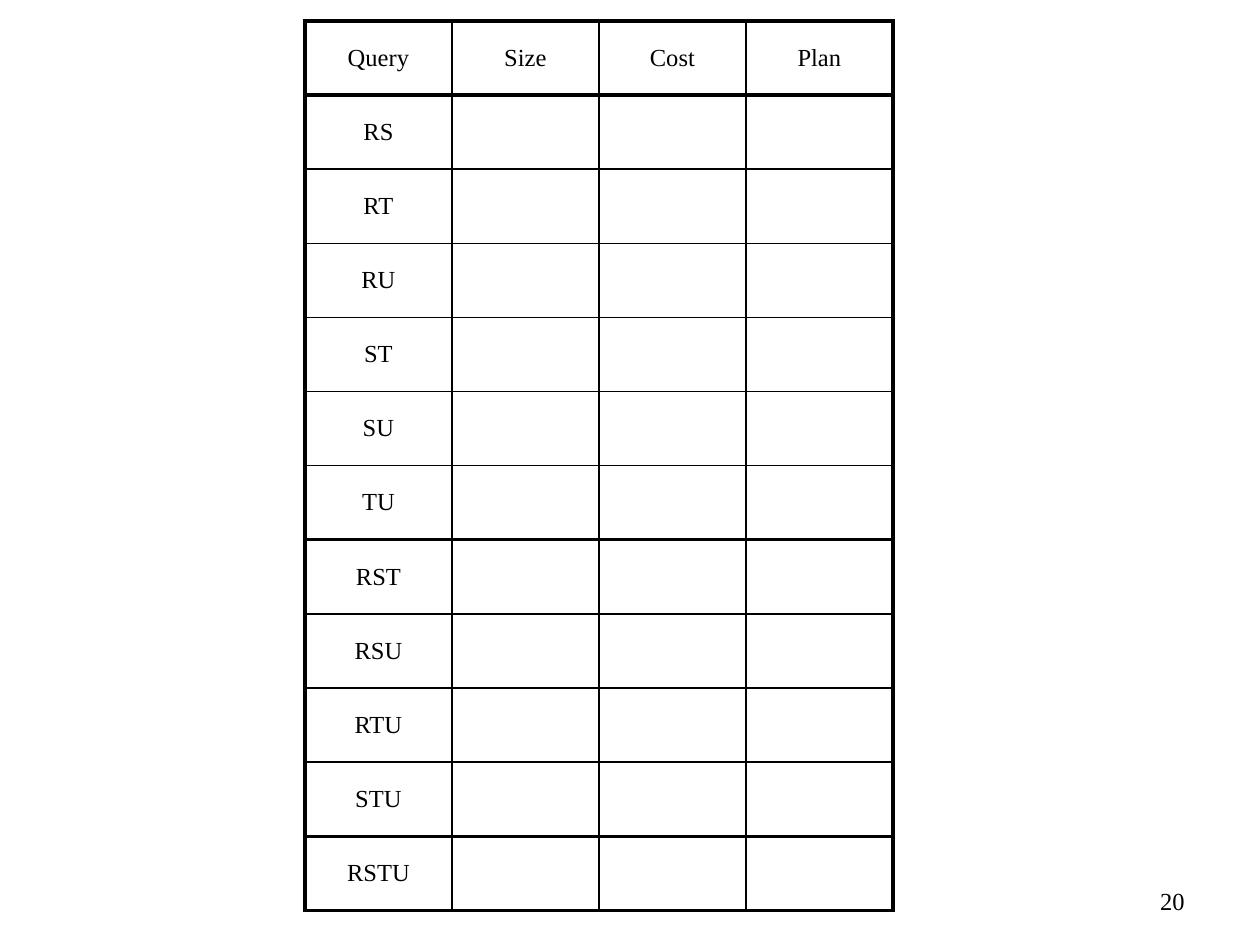
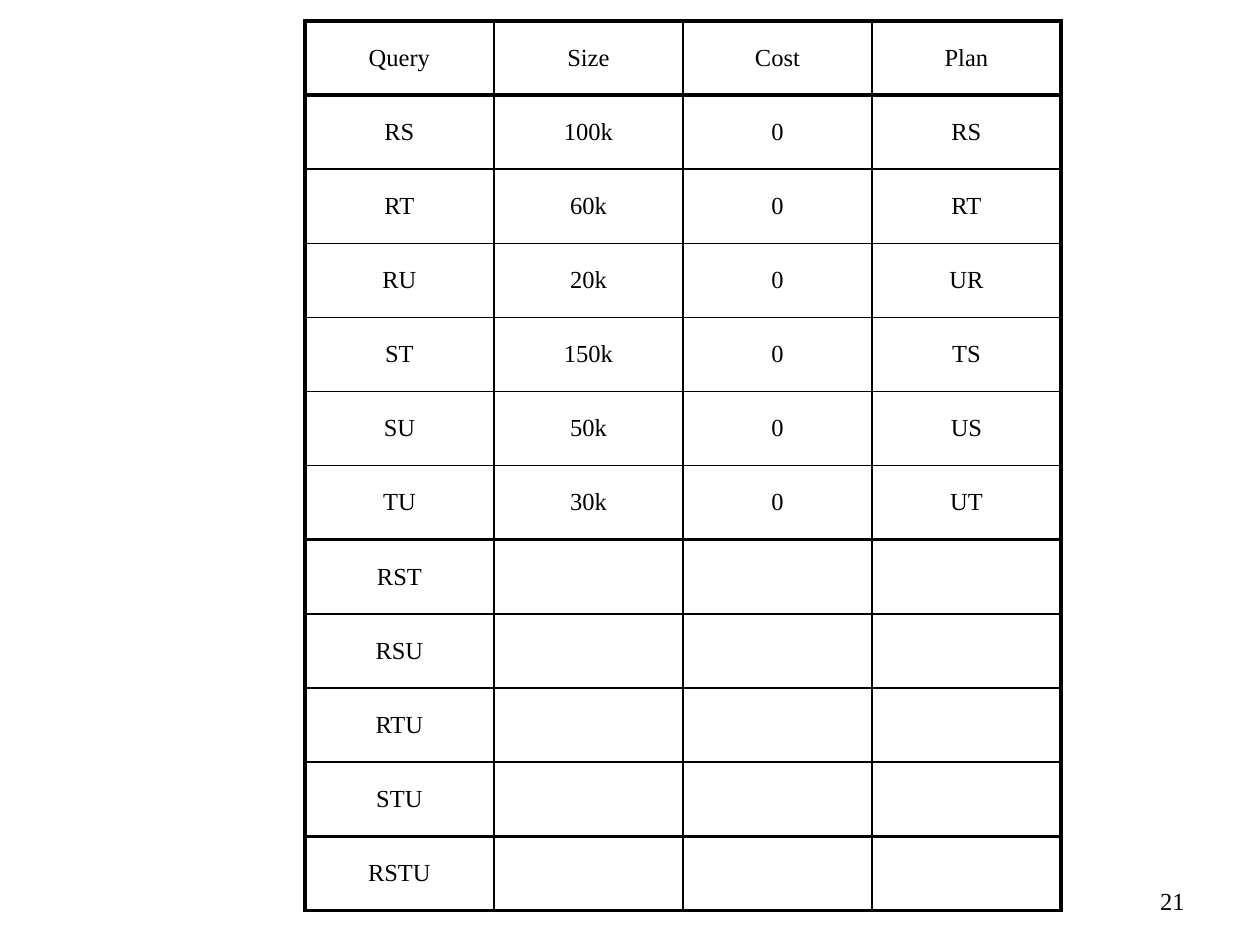
import pptx
import pptx.util
import pptx.dml.color
import pptx.enum.text
import pptx.oxml.ns
import lxml.etree

Pt = pptx.util.Pt
PP_ALIGN = pptx.enum.text.PP_ALIGN
MIDDLE = pptx.enum.text.MSO_ANCHOR.MIDDLE

BLACK = pptx.dml.color.RGBColor(0, 0, 0)
WHITE = pptx.dml.color.RGBColor(255, 255, 255)
FONT = "Times New Roman"
TEXT_SIZE = 14
THIN, THICK = 1, 2.25

TABLE_LEFT, TABLE_TOP = 174.25, 12
ROW_HEIGHT = 42.35
HEADERS = ["Query", "Size", "Cost", "Plan"]
QUERIES = ["RS", "RT", "RU", "ST", "SU", "TU", "RST", "RSU", "RTU", "STU", "RSTU"]
PAIR_RESULTS = {
    "RS": ["100k", "0", "RS"],
    "RT": ["60k", "0", "RT"],
    "RU": ["20k", "0", "UR"],
    "ST": ["150k", "0", "TS"],
    "SU": ["50k", "0", "US"],
    "TU": ["30k", "0", "UT"],
}
PAGES = [("20", 84, {}), ("21", 108, PAIR_RESULTS)]


def write_text(text_frame, text, size=TEXT_SIZE, color=BLACK, align=PP_ALIGN.CENTER, space_before=0):
    paragraph = text_frame.paragraphs[0]
    paragraph.alignment = align
    paragraph.space_before = Pt(space_before)
    paragraph.font.size = Pt(size)
    if text:
        run = paragraph.add_run()
        run.text = text
        run.font.name = FONT
        run.font.size = Pt(size)
        run.font.color.rgb = color


def add_border(cell, side, width):
    qn = pptx.oxml.ns.qn
    properties = cell._tc.get_or_add_tcPr()
    line = lxml.etree.SubElement(properties, qn(f"a:ln{side}"), w=str(Pt(width)))
    fill = lxml.etree.SubElement(line, qn("a:solidFill"))
    lxml.etree.SubElement(fill, qn("a:srgbClr"), val=str(BLACK))


presentation = pptx.Presentation()
presentation.slide_width = Pt(720)
presentation.slide_height = Pt(540)

for page_number, column_width, results in PAGES:
    slide = presentation.slides.add_slide(presentation.slide_layouts[6])
    slide.background.fill.solid()
    slide.background.fill.fore_color.rgb = WHITE

    number_box = slide.shapes.add_textbox(Pt(516), Pt(500.4), Pt(168), Pt(28.8))
    number_box.text_frame.word_wrap = True
    number_box.text_frame.vertical_anchor = MIDDLE
    write_text(number_box.text_frame, page_number, align=PP_ALIGN.RIGHT)

    rows = [HEADERS] + [[query] + results.get(query, [""] * 3) for query in QUERIES]
    last_row, last_column = len(rows) - 1, len(HEADERS) - 1
    group_ends = {
        index for index in range(last_row)
        if index == 0 or len(rows[index][0]) != len(rows[index + 1][0])
    } | {last_row}

    table = slide.shapes.add_table(
        len(rows), len(HEADERS), Pt(TABLE_LEFT), Pt(TABLE_TOP),
        Pt(column_width * len(HEADERS)), Pt(ROW_HEIGHT * len(rows)),
    ).table
    table.first_row = False
    table.horz_banding = False
    for column in table.columns:
        column.width = Pt(column_width)

    for row_index, values in enumerate(rows):
        table.rows[row_index].height = Pt(ROW_HEIGHT)
        for column_index, value in enumerate(values):
            cell = table.cell(row_index, column_index)
            cell.vertical_anchor = MIDDLE
            write_text(cell.text_frame, value, space_before=2.8)
            thick_sides = {
                "L": column_index == 0,
                "R": column_index == last_column,
                "T": row_index == 0 or row_index - 1 in group_ends,
                "B": row_index in group_ends,
            }
            for side, thick in thick_sides.items():
                add_border(cell, side, THICK if thick else THIN)
            cell.fill.background()

presentation.save("out.pptx")
